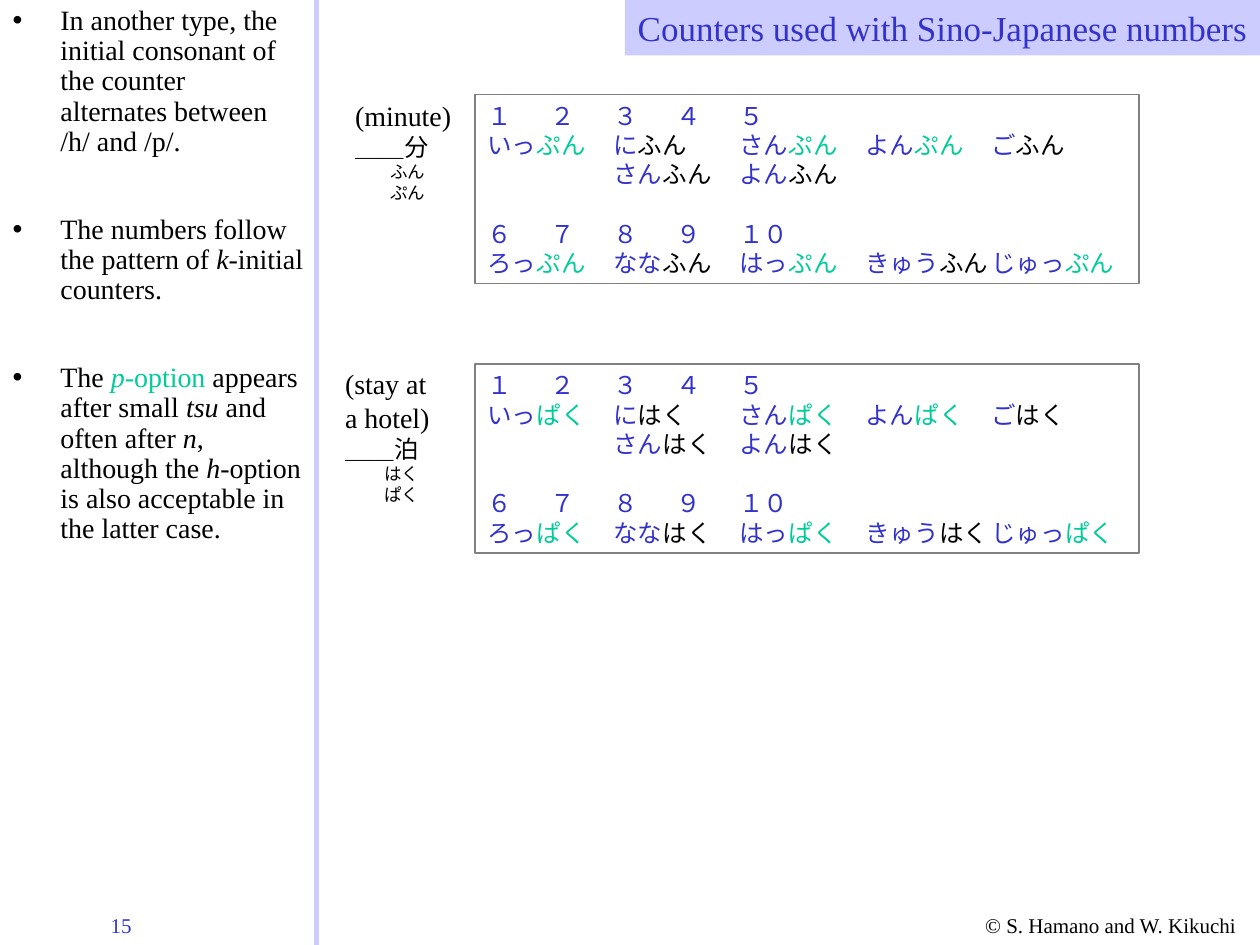
from dataclasses import dataclass

from lxml.etree import SubElement
from pptx import Presentation
from pptx.dml.color import RGBColor
from pptx.enum.shapes import MSO_CONNECTOR, MSO_SHAPE
from pptx.enum.text import MSO_ANCHOR, MSO_AUTO_SIZE, PP_ALIGN
from pptx.oxml.ns import qn
from pptx.util import Inches, Pt

COLORS = {"text": "000000", "number": "3333CC", "p": "00CC99", "h": "000000",
          "band": "CCCCFF", "frame": "808080"}
LATIN, KANA = "Times New Roman", "Noto Sans CJK JP"
WIDTH, HEIGHT = Inches(10), Inches(7.5)
COLUMN, ROW = WIDTH / 100, HEIGHT / 75  # grid cells
EM = Pt(14)  # width of one kana in the tables
BREAK = "\n"


@dataclass(frozen=True)
class Box:
    """An area in grid columns and rows."""
    left: float
    top: float
    width: float
    height: float

    def lengths(self) -> list[int]:
        cells = (self.left, COLUMN), (self.top, ROW), (self.width, COLUMN), (self.height, ROW)
        return [round(count * cell) for count, cell in cells]


@dataclass(frozen=True)
class Span:
    text: str
    color: str = "text"
    italic: bool = False


@dataclass(frozen=True)
class Counter:
    meaning: tuple[str, ...]
    kanji: str
    h: str
    p: str
    label: Box
    reading_indent: float  # columns
    table: Box


@dataclass(frozen=True)
class NumberRow:
    """Numerals or stems with the consonant option of the counter."""
    cells: tuple[tuple[str, str], ...]
    stops: tuple[int, ...]  # tab stops in kana widths
    skipped: int = 0
    before: float = 0


UPPER, LOWER = (5, 9, 14, 19), (5, 10, 15, 21)
NUMBER_ROWS = (
    NumberRow(tuple((digit, "") for digit in "１２３４５"), UPPER),
    NumberRow((("いっ", "p"), ("に", "h"), ("さん", "p"), ("よん", "p"), ("ご", "h")), UPPER),
    NumberRow((("さん", "h"), ("よん", "h")), UPPER, skipped=2),
    NumberRow(tuple((digit, "") for digit in ("６", "７", "８", "９", "１０")), LOWER, before=17),
    NumberRow((("ろっ", "p"), ("なな", "h"), ("はっ", "p"), ("きゅう", "h"), ("じゅっ", "p")), LOWER),
)
COUNTERS = (
    Counter(("(minute)",), "分", "ふん", "ぷん",
            Box(27.2, 7.3, 11, 9.4), 2.8, Box(37.7, 7.5, 52.7, 15)),
    Counter(("(stay at", "a hotel)"), "泊", "はく", "ぱく",
            Box(26.4, 28.6, 11.7, 12), 3.1, Box(37.7, 28.9, 52.7, 15)),
)
NOTES = (
    (Span("In another type, the initial consonant of the counter"), Span(BREAK),
     Span("alternates between /h/ and /p/.")),
    (Span("The numbers follow the pattern of "), Span("k", italic=True),
     Span("-initial counters.")),
    (Span("The "), Span("p", "p", True), Span("-option", "p"), Span(" appears after small "),
     Span("tsu", italic=True), Span(" and often after "), Span("n", italic=True),
     Span(", although the "), Span("h", italic=True),
     Span("-option is also acceptable in the latter case.")),
)


def rgb(name: str) -> RGBColor:
    return RGBColor.from_string(COLORS[name])


def write(frame, spans, *, size: float, font: str = LATIN, align=PP_ALIGN.LEFT,
          before: float = 0, spacing: float = 1.0, margin: float = 0,
          hanging: float = 0, stops=(), first: bool = False) -> None:
    """Add one paragraph; margins are in columns, tab stops in kana widths."""
    paragraph = frame.paragraphs[0] if first else frame.add_paragraph()
    paragraph.alignment = align
    paragraph.space_before, paragraph.line_spacing = Pt(before), spacing
    properties = paragraph._p.get_or_add_pPr()
    properties.set("marL", str(round(margin * COLUMN)))
    properties.set("indent", str(round(-hanging * COLUMN)))
    if stops:
        tabs = SubElement(properties, qn("a:tabLst"))
        for stop in stops:
            SubElement(tabs, qn("a:tab"), pos=str(stop * EM), algn="l")
    for span in spans:
        if span.text == BREAK:
            paragraph.add_line_break()
            continue
        run = paragraph.add_run()
        run.text = span.text
        run.font.size, run.font.italic, run.font.name = Pt(size), span.italic, font
        run.font.color.rgb = rgb(span.color)
        SubElement(run._r.get_or_add_rPr(), qn("a:ea"), typeface=font)


def prepare(shape, wrap: bool = True):
    frame = shape.text_frame
    frame.word_wrap, frame.auto_size = wrap, MSO_AUTO_SIZE.NONE
    frame.vertical_anchor = MSO_ANCHOR.TOP
    frame.margin_left = frame.margin_right = Inches(0.1)
    frame.margin_top = frame.margin_bottom = Inches(0.05)
    return frame


def place(shape, box: Box) -> None:
    shape.left, shape.top, shape.width, shape.height = box.lengths()


def draw_label(slide, counter: Counter) -> None:
    frame = prepare(slide.shapes.add_textbox(*counter.label.lengths()))
    for index, line in enumerate(counter.meaning):
        write(frame, [Span(line)], size=16, first=index == 0)
    write(frame, [Span("＿＿" + counter.kanji)], size=14, font=KANA)
    for reading in (counter.h, counter.p):
        write(frame, [Span(reading)], size=10, font=KANA, margin=counter.reading_indent)


def draw_readings(slide, counter: Counter) -> None:
    panel = slide.shapes.add_shape(MSO_SHAPE.RECTANGLE, *counter.table.lengths())
    panel.shadow.inherit = False
    panel.fill.background()
    panel.line.color.rgb, panel.line.width = rgb("frame"), Pt(0.75)
    frame = prepare(panel)
    endings = {"h": counter.h, "p": counter.p}
    for index, row in enumerate(NUMBER_ROWS):
        spans = []
        for column, (stem, option) in enumerate(row.cells):
            tabs = "\t" * (row.skipped if column == 0 else 1)
            spans.append(Span(tabs + stem, "number"))
            if option:
                spans.append(Span(endings[option], option))
        write(frame, spans, size=14, font=KANA, stops=row.stops,
              before=row.before, first=index == 0)


def draw_footer(slide, text: str, color: str, box: Box) -> None:
    frame = prepare(slide.shapes.add_textbox(*box.lengths()))
    write(frame, [Span(text, color)], size=12, first=True)


def main() -> None:
    deck = Presentation()
    deck.slide_width, deck.slide_height = WIDTH, HEIGHT
    slide = deck.slides.add_slide(deck.slide_layouts[1])
    title, notes = slide.placeholders

    # Title band
    place(title, Box(49.6, 0, 50.4, 4.4))
    title.fill.solid()
    title.fill.fore_color.rgb = rgb("band")
    write(prepare(title, wrap=False), [Span("Counters used with Sino-Japanese numbers", "number")],
          size=20, align=PP_ALIGN.RIGHT, first=True)

    # Notes column and divider
    place(notes, Box(0, 0, 25.1, 43.8))
    notes_frame = prepare(notes)
    for index, note in enumerate(NOTES):
        write(notes_frame, note, size=16, spacing=0.9, margin=3.8, hanging=3.8,
              before=33 if index else 0, first=index == 0)
    middle = round(25.1 * COLUMN)
    divider = slide.shapes.add_connector(MSO_CONNECTOR.STRAIGHT, middle, 0, middle, HEIGHT)
    divider.line.color.rgb, divider.line.width = rgb("band"), Pt(3)
    SubElement(divider._element.spPr, qn("a:effectLst"))

    # Counters
    for counter in COUNTERS:
        draw_label(slide, counter)
        draw_readings(slide, counter)

    # Footer
    draw_footer(slide, "15", "number", Box(7.8, 71.9, 8.9, 3))
    draw_footer(slide, "© S. Hamano and W. Kikuchi", "text", Box(77.2, 71.9, 22.8, 3))
    deck.save("out.pptx")


if __name__ == "__main__":
    main()
